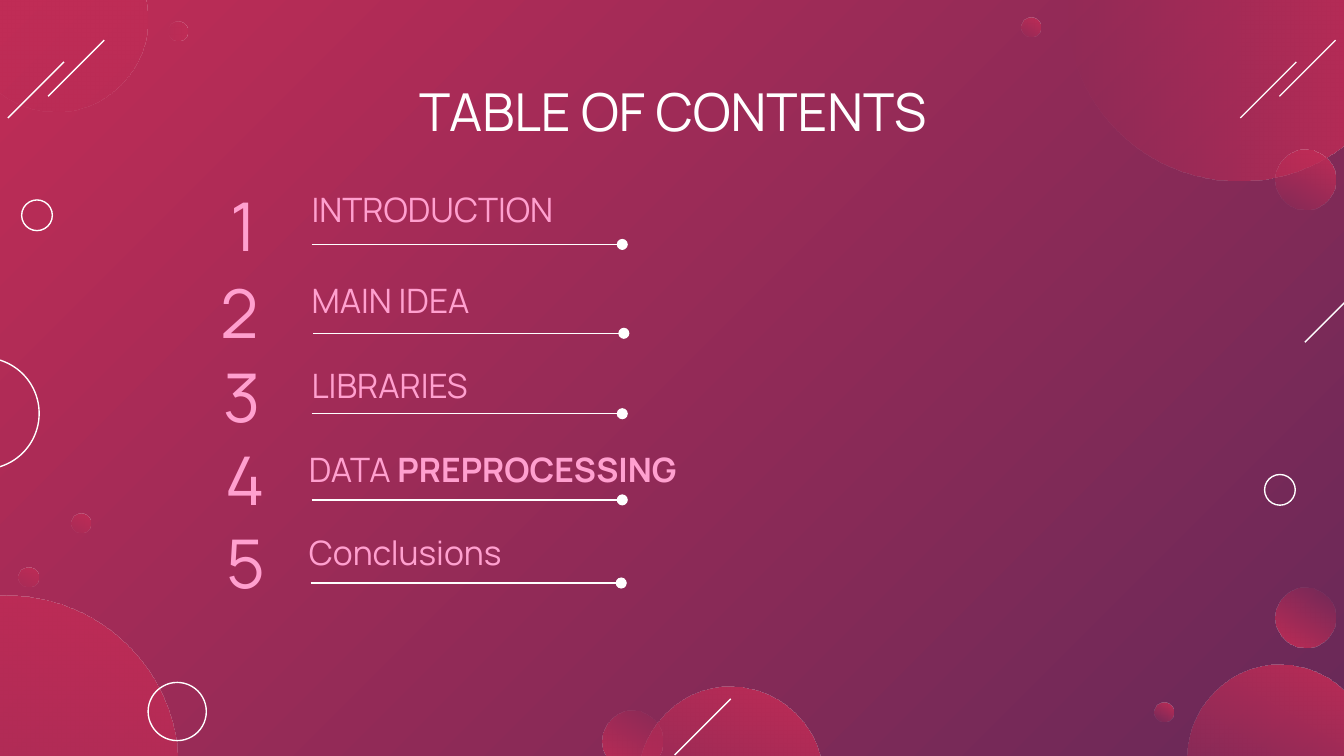
from lxml import etree
from pptx import Presentation
from pptx.dml.color import RGBColor
from pptx.enum.shapes import MSO_CONNECTOR, MSO_SHAPE
from pptx.enum.text import MSO_ANCHOR, PP_ALIGN
from pptx.oxml.ns import qn
from pptx.util import Cm, Pt

STRAIGHT, OVAL = MSO_CONNECTOR.STRAIGHT, MSO_SHAPE.OVAL
TOP, MIDDLE = MSO_ANCHOR.TOP, MSO_ANCHOR.MIDDLE
LEFT, CENTER, RIGHT = PP_ALIGN.LEFT, PP_ALIGN.CENTER, PP_ALIGN.RIGHT
COLORS = {"crimson": "C02C56", "plum": "682958", "white": "FFFFFF", "pink": "FFA0CF"}
RGB = {name: RGBColor.from_string(value) for name, value in COLORS.items()}
FONT = "Manrope"
LINE_WIDTH = Pt(0.75)

prs = Presentation()
prs.slide_width, prs.slide_height = Cm(25.4), Cm(14.29)
slide = prs.slides.add_slide(prs.slide_layouts[6])
shapes = slide.shapes


def add_line(x1, y1, x2, y2):
    line = shapes.add_connector(STRAIGHT, Cm(x1), Cm(y1), Cm(x2), Cm(y2))
    line.line.color.rgb = RGB["white"]
    line.line.width = LINE_WIDTH
    etree.SubElement(line._element.spPr, qn("a:effectLst"))
    return line


def add_text(parts, box, size, color, align=LEFT, anchor=TOP, side_inset=0.25):
    frame = shapes.add_textbox(*(Cm(length) for length in box)).text_frame
    frame.word_wrap = True
    frame.vertical_anchor = anchor
    frame.margin_left = frame.margin_right = Cm(side_inset)
    frame.margin_top = frame.margin_bottom = Cm(0.25)
    paragraph = frame.paragraphs[0]
    paragraph.alignment = align
    paragraph.font.name = FONT
    paragraph.font.size = Pt(size)
    paragraph.font.color.rgb = RGB[color]
    for text, bold in parts:
        run = paragraph.add_run()
        run.text = text
        if bold:
            run.font.bold = True


# Background gradient, from top left to bottom right
background = slide.background.fill
background.gradient()
background.gradient_angle = 360 - 45
for stop, color, position in zip(background.gradient_stops, ("crimson", "plum"), (0, 1)):
    stop.color.rgb = RGB[color]
    stop.position = position

# Fading bubbles: left, top, diameter, clockwise angle, index of the clear stop
bubbles = [
    (-0.69, -1.37, 3.48, 121, 1),
    (-3.12, 11.25, 6.48, 121, 1),
    (20.17, -3.07, 6.48, 0, 0),
    (24.1, 11.1, 1.14, 121, 0),
    (21.82, 13.28, 0.36, 121, 1),
    (12.06, 12.98, 3.48, 121, 1),
    (19.3, 0.33, 0.36, 121, 1),
    (3.18, 0.41, 0.36, 0, 0),
    (0.36, 10.72, 0.36, 121, 1),
    (1.35, 9.7, 0.36, 121, 1),
    (24.1, 2.82, 1.14, 121, 1),
    (11.38, 13.44, 1.14, 121, 0),
    (22.45, 12.57, 3.48, 121, 1),
]
for left, top, diameter, angle, clear_stop in bubbles:
    bubble = shapes.add_shape(OVAL, Cm(left), Cm(top), Cm(diameter), Cm(diameter))
    bubble.shadow.inherit = False
    bubble.line.fill.background()
    bubble.fill.gradient()
    bubble.fill.gradient_angle = (360 - angle) % 360
    for position, stop in enumerate(bubble.fill.gradient_stops):
        stop.color.rgb = RGB["crimson"]
        stop.position = position
    stop_colors = list(bubble._element.spPr.iter(qn("a:srgbClr")))
    etree.SubElement(stop_colors[clear_stop], qn("a:alpha"), val="0")

# White rings: left, top, diameter
for left, top, diameter in [(2.8, 12.9, 1.1), (23.9, 8.97, 0.58),
                            (-1.37, 6.76, 2.11), (0.41, 3.78, 0.58)]:
    ring = shapes.add_shape(OVAL, Cm(left), Cm(top), Cm(diameter), Cm(diameter))
    ring.shadow.inherit = False
    ring.fill.background()
    ring.line.color.rgb = RGB["white"]
    ring.line.width = LINE_WIDTH

# Diagonal strokes, all of one size
STROKE = 1.06
for left, top in [(0.91, 0.76), (0.15, 1.17), (24.66, 5.41),
                  (24.18, 0.76), (23.44, 1.17), (12.75, 13.21)]:
    add_line(left + STROKE, top, left, top + STROKE)

# Title
add_text([("TABLE OF CONTENTS", False)], (2.01, 1.24, 21.41, 1.6), 28, "white", CENTER)

# Contents: heading parts, heading (left, top, width), number (left, top, width),
# rule (left, y)
contents = [
    ([("INTRODUCTION", False)], (5.64, 3.33, 6.55), (2.06, 3.07, 2.79), (5.89, 4.62)),
    ([("MAIN IDEA", False)], (5.64, 5.05, 6.55), (1.78, 4.72, 3.12), (5.92, 6.3)),
    ([("LIBRARIES", False)], (5.64, 6.65, 6.55), (2.13, 6.3, 2.79), (5.89, 7.82)),
    ([("DATA ", False), ("PREPROCESSING", True)],
     (5.59, 8.23, 8), (1.9, 7.87, 3.12), (5.89, 9.45)),
    ([("Conclusions", False)], (5.59, 9.8, 6.55), (1.9, 9.45, 3.12), (5.87, 11.02)),
]
RULE_LENGTH = 5.87
for number, (heading, heading_box, number_box, (rule_left, rule_y)) in enumerate(contents, 1):
    add_text(heading, (*heading_box, 1.17), 18, "pink")
    add_text([(str(number), False)], (*number_box, 2.35), 36, "pink", RIGHT, MIDDLE, 0)
    rule = add_line(rule_left, rule_y, rule_left + RULE_LENGTH, rule_y)
    etree.SubElement(rule.line._get_or_add_ln(), qn("a:tailEnd"), type="oval")

prs.save("out.pptx")
